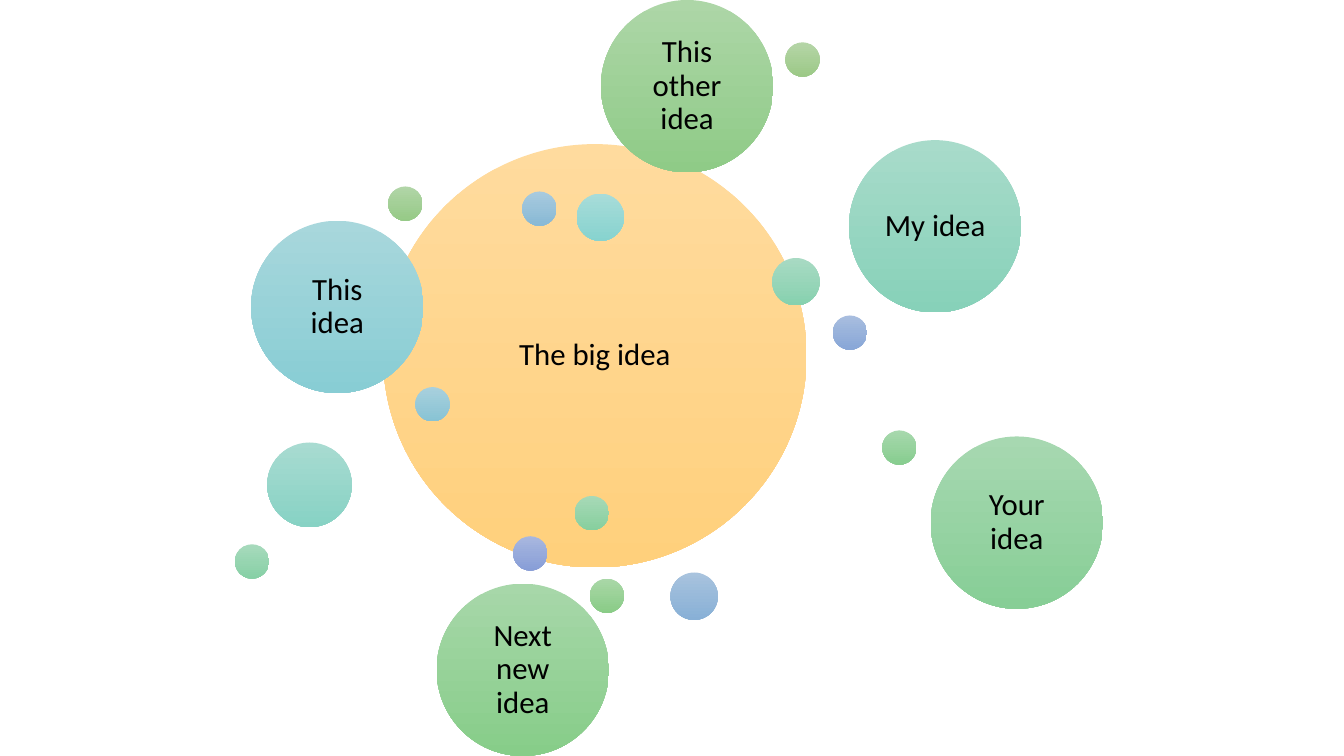
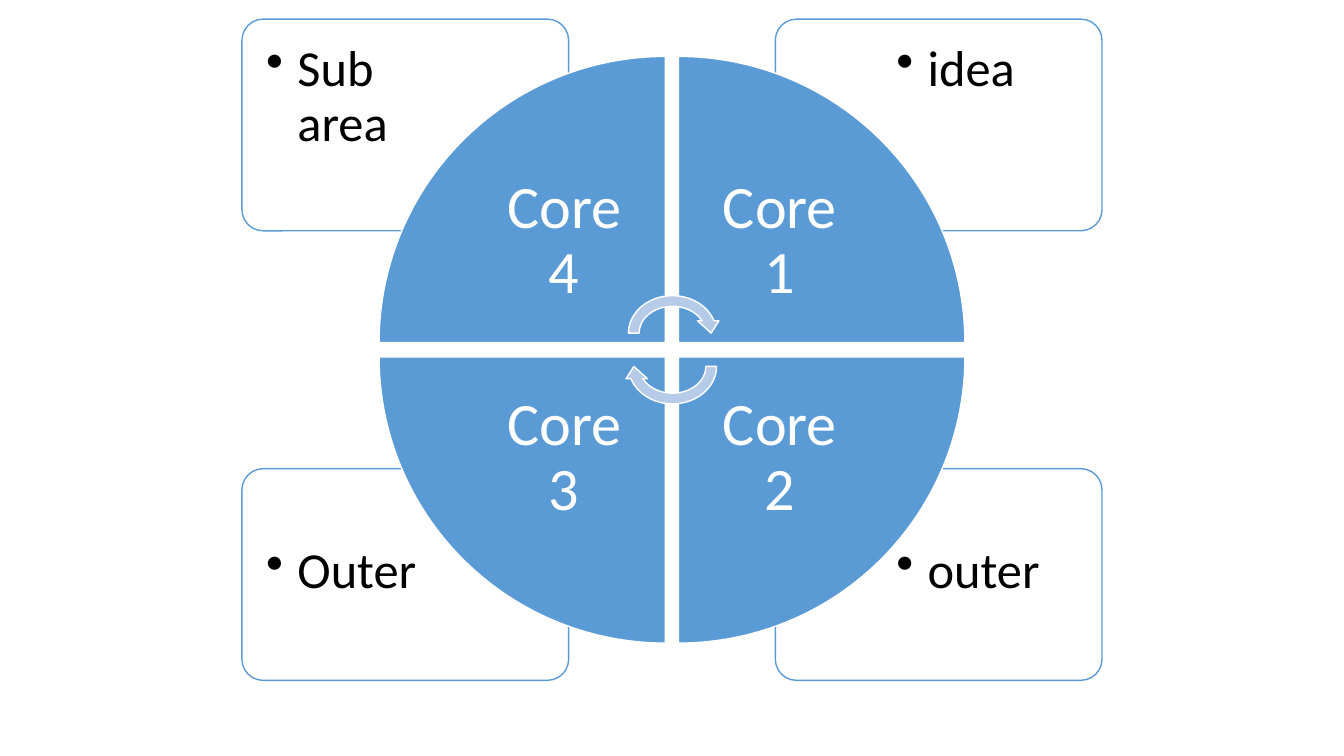
from lxml import etree
from pptx import Presentation
from pptx import util as u
from pptx.dml.color import RGBColor
from pptx.enum import shapes, text
from pptx.oxml.ns import qn

PX = 9144  # 100 px to the inch
SLIDE_SIZE = (1333, 750)
FONT = "Calibri"
BLACK, WHITE, BLUE, PALE_BLUE = "000000", "FFFFFF", "5B9BD5", "B5CBE7"

HUGE, LARGE, MEDIUM, SMALL, TINY = 420, 171, 84, 47, 34
# left, top, diameter, top colour, bottom colour, label
BUBBLES = [
    (380, 143, HUGE, "FFDB9E", "FFD07C", "The big idea"),
    (509, 532, TINY, "A8B7DF", "889ED7", ""),
    (826, 313, TINY, "A8BDDF", "88A7D7", ""),
    (665, 568, SMALL, "A8C3DE", "88B0D6", ""),
    (518, 190, TINY, "A8CADE", "88B9D5", ""),
    (412, 384, TINY, "A8D0DD", "88C3D4", ""),
    (249, 219, LARGE, "A8D7DC", "88CDD4", "This idea"),
    (572, 192, SMALL, "A8DCD9", "87D3CF", ""),
    (265, 439, MEDIUM, "A8DBD1", "87D2C4", ""),
    (842, 139, LARGE, "A8DBCA", "87D1B9", "My idea"),
    (766, 256, SMALL, "A8DAC3", "87D1AF", ""),
    (233, 540, TINY, "A7DABC", "87D0A6", ""),
    (570, 492, TINY, "A7D9B7", "87CF9E", ""),
    (923, 433, LARGE, "A7D8B1", "87CE96", "Your idea"),
    (875, 427, TINY, "A7D8AD", "87CD8F", ""),
    (433, 579, LARGE, "A7D7A9", "87CD89", "Next new idea"),
    (585, 574, TINY, "A9D7A7", "8ACC87", ""),
    (596, 0, LARGE, "ADD6A7", "8FCB87", "This other idea"),
    (385, 185, TINY, "B1D5A7", "96CA87", ""),
    (779, 42, TINY, "B5D5A7", "9CC987", ""),
]

# column, row, core label, outer label, wedge rotation
QUADRANTS = [
    (1, 1, "Core 2", "outer", 180),
    (0, 1, "Core 3", "Outer", 270),
    (1, 0, "Core 1", "idea", 90),
    (0, 0, "Core 4", "Sub area", 0),
]
CARD_LEFTS, CARD_TOPS, CARD_SIZE = (240, 769), (19, 465), (324, 210)
NOTE_SIZE, NOTE_MARGIN = (218, 148), 5
WEDGE_LEFTS, WEDGE_TOPS, WEDGE = (376, 673), (56, 354), 284
CORE_TEXT = 201
ARROW_LEFT, ARROW_SIZE = 618, (98, 85)
ARROWS = [(288, 0), (321, 180)]  # top, rotation


def rgb(color):
    return RGBColor.from_string(color)


def px(*lengths):
    return [u.Emu(length * PX) for length in lengths]


def add_shape(slide, kind, box, fill=None, line=None, rotation=0):
    shape = slide.shapes.add_shape(kind, *px(*box))
    shape.shadow.inherit = False
    shape.rotation = rotation
    if fill:
        shape.fill.solid()
        shape.fill.fore_color.rgb = rgb(fill)
    if line:
        shape.line.color.rgb = rgb(line)
        shape.line.width = u.Pt(1)
    else:
        shape.line.fill.background()
    return shape


def write(shape, label, size, color, inset, centred=True):
    """Fill a shape or text box with one paragraph; return the paragraph."""
    frame = shape.text_frame
    frame.word_wrap = True
    frame.vertical_anchor = text.MSO_ANCHOR.MIDDLE if centred else text.MSO_ANCHOR.TOP
    for side in ("left", "top", "right", "bottom"):
        setattr(frame, f"margin_{side}", u.Emu(inset * PX))
    paragraph = frame.paragraphs[0]
    paragraph.alignment = text.PP_ALIGN.CENTER if centred else text.PP_ALIGN.LEFT
    paragraph.line_spacing = 0.9
    run = paragraph.add_run()
    run.text = label
    run.font.name, run.font.size = FONT, u.Pt(size)
    run.font.color.rgb = rgb(color)
    return paragraph


def add_bullet(paragraph, indent):
    properties = paragraph._p.get_or_add_pPr()
    properties.set("marL", str(indent * PX))
    properties.set("indent", str(-indent * PX))
    etree.SubElement(properties, qn("a:buChar")).set("char", "•")


def add_bubble(slide, left, top, diameter, top_color, bottom_color, label):
    bubble = add_shape(slide, shapes.MSO_SHAPE.OVAL, (left, top, diameter, diameter))
    bubble.fill.gradient()
    bubble.fill.gradient_angle = 270
    for stop, color in zip(bubble.fill.gradient_stops, (top_color, bottom_color)):
        stop.color.rgb = rgb(color)
    if label:
        write(bubble, label, 22, BLACK, 9)


def add_card(slide, column, row, label):
    """Outlined card with its bullet against the outer side."""
    left, top = CARD_LEFTS[column], CARD_TOPS[row]
    card = add_shape(slide, shapes.MSO_SHAPE.ROUNDED_RECTANGLE,
                     (left, top, *CARD_SIZE), WHITE, BLUE)
    card.adjustments[0] = 0.1
    color = card.fill._xPr.find(f".//{qn('a:srgbClr')}")
    etree.SubElement(color, qn("a:alpha")).set("val", "90000")

    slack = [outer - inner - 2 * NOTE_MARGIN for outer, inner in zip(CARD_SIZE, NOTE_SIZE)]
    note_left = left + NOTE_MARGIN + column * slack[0]
    note_top = top + NOTE_MARGIN + row * slack[1]
    note = slide.shapes.add_textbox(*px(note_left, note_top, *NOTE_SIZE))
    add_bullet(write(note, label, 36, BLACK, 19, centred=False), 31)


def add_core(slide, column, row, label, rotation):
    """Quarter disc with its label next to the centre."""
    left, top = WEDGE_LEFTS[column], WEDGE_TOPS[row]
    add_shape(slide, shapes.MSO_SHAPE.PIE_WEDGE, (left, top, WEDGE, WEDGE),
              BLUE, WHITE, rotation)
    slack = WEDGE - CORE_TEXT
    core = slide.shapes.add_textbox(*px(left + (1 - column) * slack,
                                        top + (1 - row) * slack, CORE_TEXT, CORE_TEXT))
    write(core, label, 43, WHITE, 33)


def build_bubbles(slide):
    for bubble in BUBBLES:
        add_bubble(slide, *bubble)


def build_cycle(slide):
    for column, row, _, outer, _ in QUADRANTS:
        add_card(slide, column, row, outer)
    for column, row, core, _, rotation in QUADRANTS:
        add_core(slide, column, row, core, rotation)
    for top, rotation in ARROWS:
        add_shape(slide, shapes.MSO_SHAPE.CIRCULAR_ARROW,
                  (ARROW_LEFT, top, *ARROW_SIZE), PALE_BLUE, WHITE, rotation)


def main():
    presentation = Presentation()
    presentation.slide_width, presentation.slide_height = px(*SLIDE_SIZE)
    for build in (build_bubbles, build_cycle):
        build(presentation.slides.add_slide(presentation.slide_layouts[6]))
    presentation.save("out.pptx")


if __name__ == "__main__":
    main()
